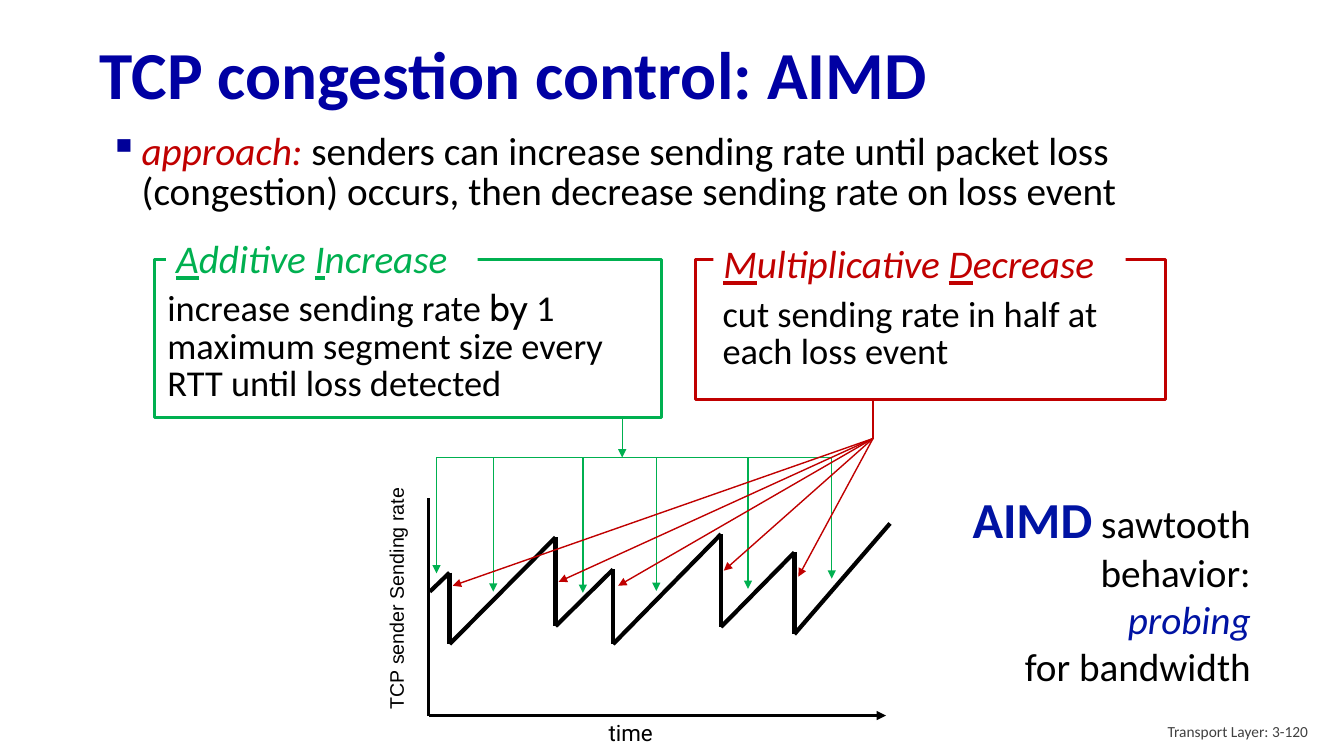
import pptx
import pptx.util
import pptx.dml.color
import pptx.enum.shapes
import pptx.enum.text
import pptx.oxml
import pptx.oxml.ns
from itertools import pairwise

Cm = pptx.util.Cm
Pt = pptx.util.Pt
ALIGN = pptx.enum.text.PP_ALIGN
MIDDLE = pptx.enum.text.MSO_ANCHOR.MIDDLE
NAVY, BLUE, BLACK, WHITE = "0000A3", "0013A3", "000000", "FFFFFF"
GREEN, RED, GRAY = "00B050", "C00000", "404040"


def paint(color):
    return pptx.dml.color.RGBColor.from_string(color)


def node(tag, attrs=""):
    return pptx.oxml.parse_xml(f"<a:{tag} {pptx.oxml.ns.nsdecls('a')} {attrs}/>")


def place(shape, box):
    shape.left, shape.top, shape.width, shape.height = map(Cm, box)


def write(par, parts, size, color=BLACK, font="Calibri", align=ALIGN.LEFT, space=1.0):
    par.alignment = align
    par.line_spacing = space
    par.space_before = Pt(0)
    for text, look in parts:
        run = par.add_run()
        run.text = text
        run.font.size = Pt(look.get("size", size))
        run.font.name = look.get("font", font)
        run.font.bold = look.get("bold", False)
        run.font.italic = look.get("italic", False)
        run.font.underline = look.get("under", False)
        run.font.color.rgb = paint(look.get("color", color))


def label(slide, box, parts, size, **style):
    shape = slide.shapes.add_textbox(*map(Cm, box))
    shape.text_frame.word_wrap = True
    write(shape.text_frame.paragraphs[0], parts, size, **style)
    return shape


def fill(shape, color):
    shape.fill.solid()
    shape.fill.fore_color.rgb = paint(color)


def line(slide, start, end, color, width, arrow=False):
    kind = pptx.enum.shapes.MSO_CONNECTOR.STRAIGHT
    link = slide.shapes.add_connector(kind, *map(Cm, (*start, *end)))
    link.line.color.rgb = paint(color)
    link.line.width = Pt(width)
    props = link.element.spPr
    if arrow:
        props.find(pptx.oxml.ns.qn("a:ln")).append(node("tailEnd", 'type="triangle"'))
    props.append(node("effectLst"))


def add_title(slide, box):
    title = slide.shapes.title
    place(title, box)
    title.text_frame.vertical_anchor = MIDDLE
    write(title.text_frame.paragraphs[0],
          [("TCP congestion control: AIMD", {"bold": True})], 48, NAVY, space=0.9)


def add_intro(slide, box):
    intro = label(slide, box, [
        ("approach: ", {"color": RED, "italic": True}),
        ("senders can increase sending rate until packet loss (congestion) occurs, "
         "then decrease sending rate on loss event", {}),
    ], 28, space=0.85)
    props = intro.text_frame.paragraphs[0]._p.get_or_add_pPr()
    props.set("marL", str(Cm(0.81)))
    props.set("indent", str(Cm(-0.81)))
    tint = node("buClr")
    tint.append(node("srgbClr", 'val="000099"'))
    props.append(tint)
    props.append(node("buChar", 'char="▪"'))


def add_panel(slide, box, color, words, tag, body, parts):
    left, top, width, height = box
    frame = slide.shapes.add_shape(
        pptx.enum.shapes.MSO_SHAPE.RECTANGLE, *map(Cm, box))
    frame.shadow.inherit = False
    fill(frame, WHITE)
    frame.line.color.rgb = paint(color)
    frame.line.width = Pt(2)
    inset, drop = body
    label(slide, (left + inset, top + drop, width - 2 * inset, height - drop),
          parts, 26, space=0.85)
    heads = []
    for word in words:
        heads.append((word[0], {"italic": True, "under": True}))
        heads.append((word[1:], {"italic": True}))
    shift, lift, span = tag
    head = label(slide, (left + shift, top - lift, span, 1.22), heads, 28,
                 color=color, space=0.85)
    fill(head, WHITE)


def add_plot(slide, box):
    left, top, width, height = box
    teeth = [(0.03, 2.36), (0.53, 1.88), (0.53, 3.68), (3.2, 0.99), (3.2, 3.23),
             (4.65, 1.8), (4.65, 3.68), (7.37, 0.91), (7.37, 3.25),
             (9.22, 1.37), (9.22, 3.43), (11.63, 0.64)]
    spots = [(left + x, top + y) for x, y in teeth]
    for start, end in pairwise(spots):
        line(slide, start, end, BLACK, 3)
    rate = label(slide, (left - 3.97, top + 2, 6.3, 0.84),
                 [("TCP sender Sending rate", {})], 14, font="Arial")
    fill(rate, WHITE)
    rate.rotation = 270
    base = top + height
    line(slide, (left, base), (left + width, base), BLACK, 2.25, True)
    line(slide, (left, top), (left, base), BLACK, 2.25)
    label(slide, (left + 4.29, base - 0.03, 1.78, 0.91), [("time", {})], 16, font="Roboto")


def add_gains(slide, box):
    left, top = box[:2]
    rail = top - 1.02
    drops = [(0.2, 1.9), (1.63, 2.36), (3.89, 2.39),
             (5.74, 2.34), (8.05, 2.29), (10.16, 2.03)]
    for x, y in drops:
        line(slide, (left + x, rail), (left + x, top + y), GREEN, 1, True)
    line(slide, (left + drops[0][0], rail), (left + drops[-1][0], rail), GREEN, 1)
    line(slide, (left + 4.88, top - 2.03), (left + 4.88, rail), GREEN, 1, True)


def add_cuts(slide, box):
    left, top = box[:2]
    hub = (left + 11.2, top - 1.5)
    for x, y in [(9.32, 1.98), (0.61, 2.21), (3.28, 2.11), (4.78, 2.21), (7.44, 1.83)]:
        line(slide, hub, (left + x, top + y), RED, 1, True)
    line(slide, hub, (hub[0], top - 2.49), RED, 1)


def add_moral(slide, box):
    moral = label(slide, box, [
        ("AIMD", {"size": 36, "color": BLUE, "bold": True}), (" sawtooth", {}),
    ], 28, align=ALIGN.RIGHT)
    for text, look in [("behavior:", {}), ("probing", {"color": BLUE, "italic": True}),
                       ("for bandwidth", {})]:
        write(moral.text_frame.add_paragraph(), [(text, look)], 28, align=ALIGN.RIGHT)


def add_footer(slide, box):
    foot = label(slide, box, [("Transport Layer: 3-120", {})], 11,
                 color=GRAY, align=ALIGN.RIGHT)
    foot.text_frame.vertical_anchor = MIDDLE


def main():
    deck = pptx.Presentation()
    deck.slide_width, deck.slide_height = Cm(33.87), Cm(19.05)
    slide = deck.slides.add_slide(deck.slide_layouts[5])
    plot = (10.8, 12.55, 11.53, 5.48)
    add_title(slide, (2.26, 0.71, 31.65, 2.49))
    add_intro(slide, (2.51, 3.25, 28.52, 4.01))
    add_moral(slide, (23.8, 12.17, 7.97, 5.1))
    add_plot(slide, plot)
    add_panel(slide, (3.89, 6.53, 12.78, 3.99), GREEN, ["Additive ", "Increase"],
              (0.3, 0.56, 7.85), (0.08, 0.71), [
                  ("increase sending rate ", {}), ("by ", {"font": "Cabin"}),
                  ("1 maximum segment size every RTT until loss detected", {})])
    add_panel(slide, (17.53, 6.53, 11.84, 3.53), RED, ["Multiplicative ", "Decrease"],
              (0.45, 0.43, 10.39), (0.43, 0.84),
              [("cut sending rate in half at each loss event", {})])
    add_gains(slide, plot)
    add_cuts(slide, plot)
    add_footer(slide, (25.6, 17.91, 7.62, 1.02))
    deck.save("out.pptx")


if __name__ == "__main__":
    main()
